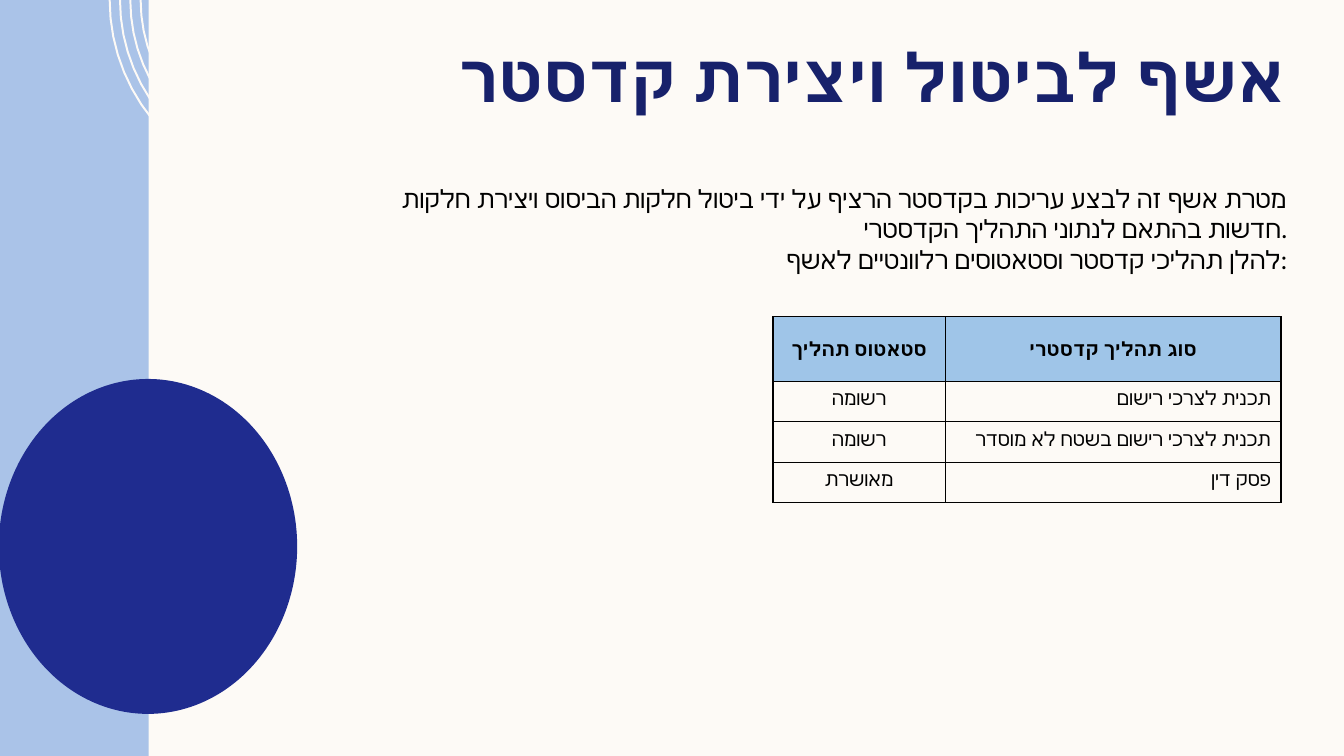
import math
from dataclasses import dataclass

from lxml import etree
from pptx import Presentation
from pptx import util as u
from pptx.dml.color import RGBColor
from pptx.enum import shapes, text
from pptx.oxml.ns import qn

COLORS = {
    "cream": "FDFAF6",
    "sky": "AAC3E8",
    "navy": "1F2C8F",
    "heading": "17216B",
    "header": "9FC5E8",
    "black": "000000",
}
FONT = "Lato"
CENTER, RIGHT = text.PP_ALIGN.CENTER, text.PP_ALIGN.RIGHT
MIDDLE, TOP = text.MSO_ANCHOR.MIDDLE, text.MSO_ANCHOR.TOP


@dataclass
class Box:
    left: float
    top: float
    width: float
    height: float

    def lengths(self) -> list:
        return [u.Cm(v) for v in (self.left, self.top, self.width, self.height)]


@dataclass
class Style:
    size: int
    bold: bool = False
    color: str = "black"
    align: int = CENTER
    rtl: bool = True
    spacing: int = 0


@dataclass
class Decor:
    kind: int
    box: Box
    color: str


@dataclass
class TextBlock:
    box: Box
    lines: list
    style: Style
    frame: dict


DECORS = {
    "band": Decor(shapes.MSO_SHAPE.RECTANGLE, Box(-0.03, 0, 3.78, 19.13), "sky"),
    "disc": Decor(shapes.MSO_SHAPE.OVAL, Box(-0.03, 9.55, 7.52, 8.44), "navy"),
}
HEADING = TextBlock(
    Box(11.28, 0.84, 21.41, 2.11),
    ["אשף לביטול ויצירת קדסטר"],
    Style(48, True, "heading"),
    {"word_wrap": True, "vertical_anchor": MIDDLE, "margin_top": 0, "margin_bottom": 0},
)
PURPOSE = TextBlock(
    Box(8.18, 4.5, 24.51, 2.57),
    [
        "מטרת אשף זה לבצע עריכות בקדסטר הרציף על ידי ביטול חלקות הביסוס ויצירת חלקות חדשות בהתאם לנתוני התהליך הקדסטרי.",
        "להלן תהליכי קדסטר וסטאטוסים רלוונטיים לאשף:",
    ],
    Style(18, align=RIGHT, rtl=False),
    {"word_wrap": True, "auto_size": text.MSO_AUTO_SIZE.SHAPE_TO_FIT_TEXT},
)
PROCESSES = [
    ("סטאטוס תהליך", "סוג תהליך קדסטרי"),
    ("רשומה", "תכנית לצרכי רישום"),
    ("רשומה", "תכנית לצרכי רישום בשטח לא מוסדר"),
    ("מאושרת", "פסק דין"),
]
TABLE_BOX = Box(19.48, 7.98, 12.8, 4.69)
COLUMN_WIDTHS = (4.34, 8.46)
HEADER_HEIGHT, ROW_HEIGHT = 1.63, 1.02
HEADER_STYLE = Style(14, True)
COLUMN_STYLES = (Style(14, spacing=10), Style(14, align=RIGHT, spacing=10))

RING_COUNT, RING_STEP, RING_WIDTH = 4, 0.26, 0.05
RING_CENTER_X, RING_RADIUS = 7.51, 4.77
ARC_STEPS = 16


def rgb(name: str) -> RGBColor:
    return RGBColor.from_string(COLORS[name])


def paint(shape, color: str) -> None:
    shape.shadow.inherit = False
    shape.fill.solid()
    shape.fill.fore_color.rgb = rgb(color)
    shape.line.fill.background()


def add_decor(slide, decor: Decor) -> None:
    paint(slide.shapes.add_shape(decor.kind, *decor.box.lengths()), decor.color)


def arc(radius: float) -> list:
    angles = [math.pi / 2 * step / ARC_STEPS for step in range(ARC_STEPS + 1)]
    return [
        (u.Cm(RING_CENTER_X - radius * math.cos(a)), u.Cm(radius * math.sin(a)))
        for a in angles
    ]


def add_rings(slide) -> None:
    for index in range(RING_COUNT):
        radius = RING_RADIUS - RING_STEP * index
        start, *outline = arc(radius) + arc(radius - RING_WIDTH)[::-1]
        builder = slide.shapes.build_freeform(*start)
        builder.add_line_segments(outline, close=True)
        paint(builder.convert_to_shape(), "cream")


def write_lines(frame, lines: list, style: Style) -> None:
    for index, line in enumerate(lines):
        paragraph = frame.paragraphs[0] if index == 0 else frame.add_paragraph()
        paragraph.alignment = style.align
        if style.rtl:
            paragraph._p.get_or_add_pPr().set("rtl", "1")
        if style.spacing:
            paragraph.space_after = u.Pt(style.spacing)
        run = paragraph.add_run()
        run.text = line
        values = {"name": FONT, "size": u.Pt(style.size), "bold": style.bold}
        for key, value in values.items():
            setattr(run.font, key, value)
        run.font.color.rgb = rgb(style.color)
        etree.SubElement(run._r.get_or_add_rPr(), qn("a:cs"), typeface=FONT)


def add_text(slide, block: TextBlock) -> None:
    frame = slide.shapes.add_textbox(*block.box.lengths()).text_frame
    for key, value in block.frame.items():
        setattr(frame, key, value)
    write_lines(frame, block.lines, block.style)


def add_borders(cell) -> None:
    properties = cell._tc.get_or_add_tcPr()
    for index, side in enumerate(("lnL", "lnR", "lnT", "lnB")):
        border = etree.Element(qn(f"a:{side}"), w=str(u.Pt(1)))
        fill = etree.SubElement(border, qn("a:solidFill"))
        etree.SubElement(fill, qn("a:srgbClr"), val=COLORS["black"])
        properties.insert(index, border)


def add_processes(slide) -> None:
    table = slide.shapes.add_table(
        len(PROCESSES), len(COLUMN_WIDTHS), *TABLE_BOX.lengths()
    ).table
    for column, width in zip(table.columns, COLUMN_WIDTHS):
        column.width = u.Cm(width)
    for r, entries in enumerate(PROCESSES):
        is_header = r == 0
        table.rows[r].height = u.Cm(HEADER_HEIGHT if is_header else ROW_HEIGHT)
        for c, entry in enumerate(entries):
            cell = table.cell(r, c)
            cell.vertical_anchor = MIDDLE if is_header else TOP
            if is_header:
                cell.fill.solid()
                cell.fill.fore_color.rgb = rgb("header")
            else:
                cell.fill.background()
            add_borders(cell)
            style = HEADER_STYLE if is_header else COLUMN_STYLES[c]
            write_lines(cell.text_frame, [entry], style)


def main() -> None:
    deck = Presentation()
    deck.slide_width, deck.slide_height = u.Cm(33.87), u.Cm(19.05)
    slide = deck.slides.add_slide(deck.slide_layouts[6])
    slide.background.fill.solid()
    slide.background.fill.fore_color.rgb = rgb("cream")
    add_decor(slide, DECORS["band"])
    add_rings(slide)
    add_decor(slide, DECORS["disc"])
    add_text(slide, HEADING)
    add_processes(slide)
    add_text(slide, PURPOSE)
    deck.save("out.pptx")


if __name__ == "__main__":
    main()
